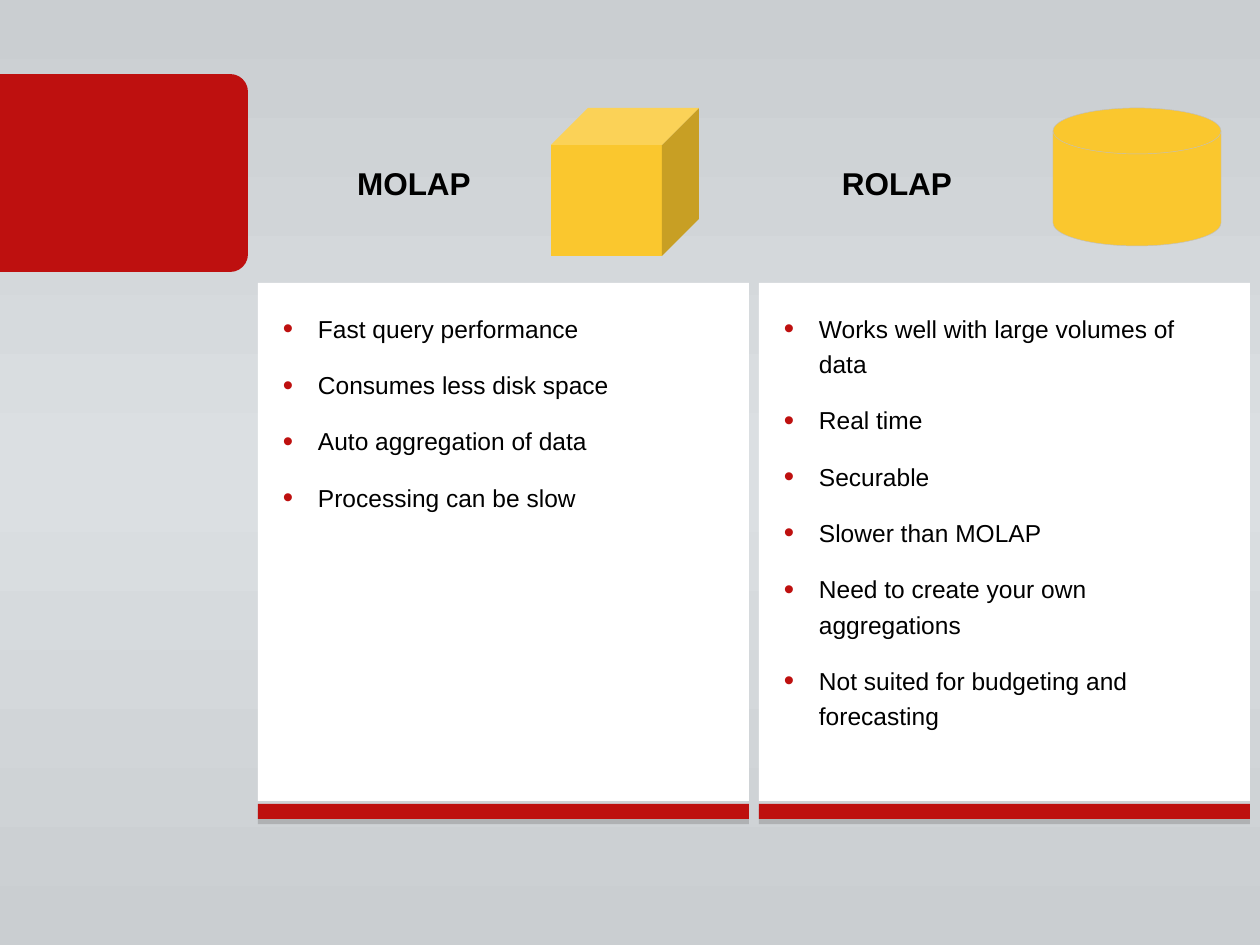
from copy import deepcopy

from lxml import etree
from pptx import Presentation
from pptx import util as u
from pptx.dml.color import RGBColor
from pptx.enum import shapes, text
from pptx.oxml.ns import qn

RED = RGBColor(0xBE, 0x10, 0x0F)
YELLOW = RGBColor(0xFA, 0xC7, 0x2E)
WHITE = RGBColor(0xFF, 0xFF, 0xFF)
BLACK = RGBColor(0, 0, 0)
OUTLINE = RGBColor(0xBF, 0xBF, 0xBF)
EDGE_GREY = RGBColor(0xCA, 0xCE, 0xD1)
MIDDLE_GREY = RGBColor(0xDB, 0xDF, 0xE2)
SHADOW_GREY = RGBColor(0x7F, 0x7F, 0x7F)
FONT = "Arial"
KIND = shapes.MSO_SHAPE

# Heading, heading box left, icon, icon box, icon outline, points
COLUMNS = [
    ("MOLAP", 344, KIND.CUBE, (551, 108, 148, 148), None,
     ["Fast query performance", "Consumes less disk space",
      "Auto aggregation of data", "Processing can be slow"]),
    ("ROLAP", 827, KIND.FLOWCHART_MAGNETIC_DISK, (1053, 108, 168, 138), OUTLINE,
     ["Works well with large volumes of data", "Real time", "Securable",
      "Slower than MOLAP", "Need to create your own aggregations",
      "Not suited for budgeting and forecasting"]),
]
COLUMN_LEFT, COLUMN_WIDTH, COLUMN_GAP = 258, 491, 10
PANEL_TOP, PANEL_HEIGHT = 283, 518
BAR_TOP, BAR_HEIGHT = 804, 15
HEADING_TOP, HEADING_WIDTH, HEADING_HEIGHT = 158, 140, 50


def px(n):
    return u.Emu(round(n * 914400 / 126))


def add_block(kind, box, fill, outline=None):
    block = slide.shapes.add_shape(kind, *map(px, box))
    block.shadow.inherit = False
    block.fill.solid()
    block.fill.fore_color.rgb = fill
    if outline is None:
        block.line.fill.background()
    else:
        block.line.color.rgb = outline
        block.line.width = u.Pt(0.25)
    return block


def add_shadow(bar):
    effects = bar._element.spPr.find(qn("a:effectLst"))
    shadow = etree.SubElement(effects, qn("a:outerShdw"), dist=str(u.Pt(3)),
                              dir="5400000", algn="t", rotWithShape="0")
    color = etree.SubElement(shadow, qn("a:srgbClr"), val=str(SHADOW_GREY))
    etree.SubElement(color, qn("a:alpha"), val="40000")


def set_font(paragraph, size, bold=False):
    font = paragraph.font
    font.name, font.size, font.bold = FONT, u.Pt(size), bold
    font.color.rgb = BLACK


def add_bullet(paragraph):
    props = paragraph._p.get_or_add_pPr()
    props.set("marL", str(px(35)))
    props.set("indent", str(-px(35)))
    bullet = [etree.Element(qn("a:buClr")),
              etree.Element(qn("a:buSzPct"), val="120000"),
              etree.Element(qn("a:buFont"), typeface=FONT),
              etree.Element(qn("a:buChar"), char="•")]
    etree.SubElement(bullet[0], qn("a:srgbClr"), val=str(RED))
    for part in bullet:
        props.insert_element_before(part, "a:tabLst", "a:defRPr", "a:extLst")


def write_points(panel, points):
    frame = panel.text_frame
    frame.word_wrap = True
    frame.vertical_anchor = text.MSO_ANCHOR.TOP
    frame.margin_left = frame.margin_top = frame.margin_bottom = px(25)
    frame.margin_right = px(49)
    frame.text = "\n".join(points)
    for paragraph in frame.paragraphs:
        paragraph.alignment = text.PP_ALIGN.LEFT
        paragraph.line_spacing = 1.2
        paragraph.space_before = paragraph.space_after = u.Pt(6)
        set_font(paragraph, 14)
        add_bullet(paragraph)


def add_heading(label, left):
    heading = slide.shapes.add_textbox(
        *map(px, (left, HEADING_TOP, HEADING_WIDTH, HEADING_HEIGHT)))
    frame = heading.text_frame
    frame.word_wrap = False
    frame.auto_size = text.MSO_AUTO_SIZE.SHAPE_TO_FIT_TEXT
    frame.text = label
    frame.paragraphs[0].alignment = text.PP_ALIGN.CENTER
    set_font(frame.paragraphs[0], 18, bold=True)


prs = Presentation()
prs.slide_width, prs.slide_height = px(1260), px(945)
slide = prs.slides.add_slide(prs.slide_layouts[6])

# Background: grey, lighter across the middle
backdrop = slide.background.fill
backdrop.gradient()
backdrop.gradient_angle = 270
for stop in backdrop.gradient_stops:
    stop.color.rgb = EDGE_GREY
stops = slide._element.find(".//" + qn("a:gsLst"))
middle = deepcopy(stops[0])
middle.set("pos", "50000")
middle.find(qn("a:srgbClr")).set("val", str(MIDDLE_GREY))
stops.insert(1, middle)
stops[0].set("pos", "0")
stops[2].set("pos", "100000")

# Red tab at the left edge
tab = add_block(KIND.ROUND_2_SAME_RECTANGLE, (25, 49, 198, 248), RED)
tab.rotation = 90
tab.adjustments[0], tab.adjustments[1] = 0.09, 0

# Columns: bar, panel, heading and icon
for i, (label, heading_left, icon, icon_box, outline, points) in enumerate(COLUMNS):
    left = COLUMN_LEFT + i * (COLUMN_WIDTH + COLUMN_GAP)
    add_shadow(add_block(KIND.RECTANGLE, (left, BAR_TOP, COLUMN_WIDTH, BAR_HEIGHT), RED))
    panel = add_block(KIND.RECTANGLE, (left, PANEL_TOP, COLUMN_WIDTH, PANEL_HEIGHT), WHITE)
    write_points(panel, points)
    add_heading(label, heading_left)
    add_block(icon, icon_box, YELLOW, outline)

prs.save("out.pptx")
